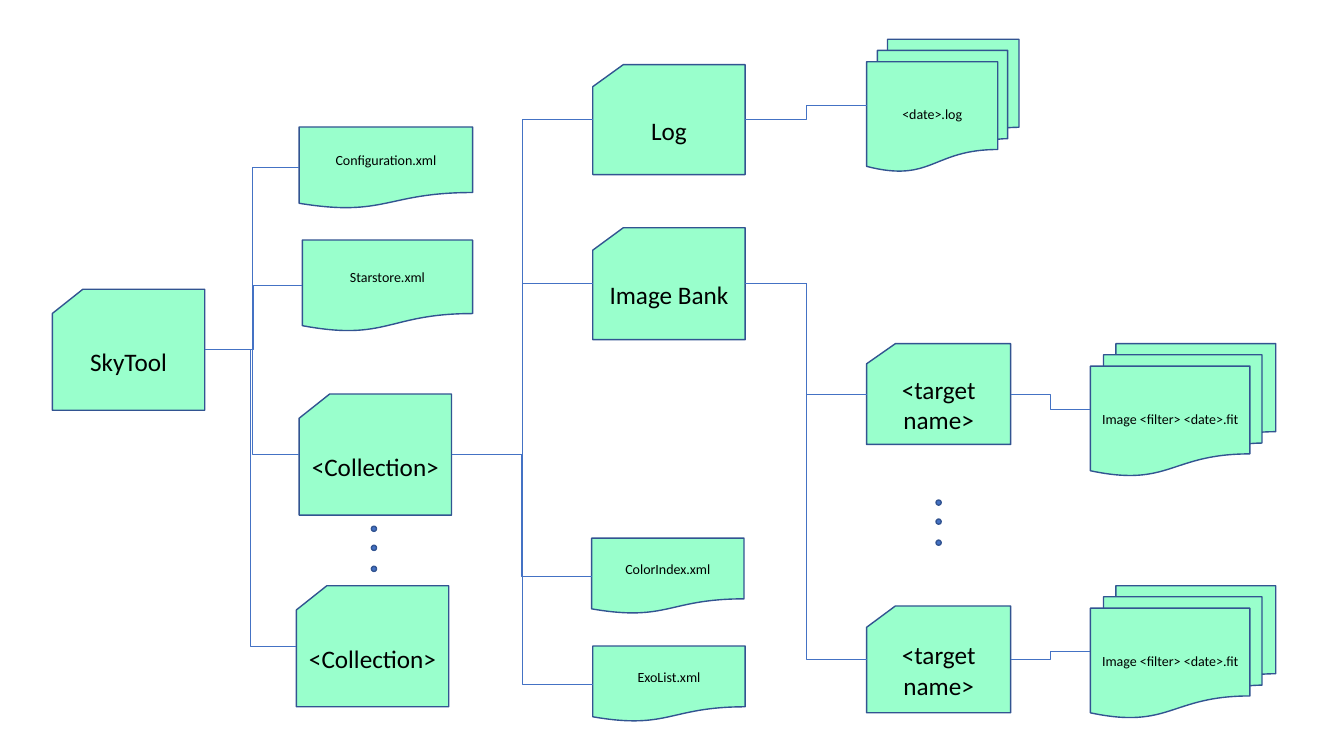
from lxml.etree import SubElement
from pptx import Presentation
from pptx.dml.color import RGBColor as RGB
from pptx.enum.shapes import MSO_CONNECTOR as Link, MSO_SHAPE as Shape
from pptx.enum.text import MSO_ANCHOR as Anchor, PP_ALIGN as Align
from pptx.oxml.ns import qn
from pptx.util import Cm, Pt

COLORS = {"mint": "99FFCC", "edge": "325491", "blue": "4472C4", "text": "000000"}
FONT = "Calibri"
KINDS = {
    "card": (Shape.FLOWCHART_CARD, 18),
    "file": (Shape.FLOWCHART_DOCUMENT, 10),
    "stack": (Shape.FLOWCHART_MULTIDOCUMENT, 10),
}
NODES = {
    "root": ("card", "SkyTool", 1.32, 7.29, 3.84, 3.05),
    "config": ("file", "Configuration.xml", 7.54, 3.2, 4.37, 2.06),
    "stars": ("file", "Starstore.xml", 7.62, 6.05, 4.29, 2.31),
    "first": ("card", "<Collection>", 7.54, 9.93, 3.84, 3.05),
    "last": ("card", "<Collection>", 7.47, 14.76, 3.84, 3.05),
    "log": ("card", "Log", 14.94, 1.63, 3.84, 2.77),
    "bank": ("card", "Image Bank", 14.94, 5.74, 3.84, 2.82),
    "index": ("file", "ColorIndex.xml", 14.91, 13.56, 3.84, 1.91),
    "list": ("file", "ExoList.xml", 14.94, 16.28, 3.84, 1.91),
    "dates": ("stack", "<date>.log", 21.84, 0.99, 3.84, 3.33),
    "target 1": ("card", "<target name>", 21.84, 8.66, 3.63, 2.54),
    "target 2": ("card", "<target name>", 21.84, 15.27, 3.63, 2.69),
    "image 1": ("stack", "Image <filter> <date>.fit", 27.48, 8.66, 4.67, 3.33),
    "image 2": ("stack", "Image <filter> <date>.fit", 27.48, 14.76, 4.67, 3.33),
}
TREE = {
    "root": ["config", "stars", "first", "last"],
    "first": ["log", "bank", "index", "list"],
    "log": ["dates"],
    "bank": ["target 1", "target 2"],
    "target 1": ["image 1"],
    "target 2": ["image 2"],
}
DOTS = [(9.36, 13.26), (23.59, 12.6)]
STEPS = [0, 0.48, 1.01]
DOT = 0.13


def add_shape(slide, kind, box, fill):
    shape = slide.shapes.add_shape(kind, *map(Cm, box))
    shape.shadow.inherit = False
    shape.fill.solid()
    shape.fill.fore_color.rgb = RGB.from_string(COLORS[fill])
    shape.line.color.rgb = RGB.from_string(COLORS["edge"])
    shape.line.width = Pt(1)
    return shape


def add_node(slide, kind, text, *box):
    form, size = KINDS[kind]
    node = add_shape(slide, form, box, "mint")
    frame = node.text_frame
    frame.text = text
    frame.word_wrap = True
    frame.vertical_anchor = Anchor.MIDDLE
    line = frame.paragraphs[0]
    line.alignment = Align.CENTER
    font = line.runs[0].font
    font.name, font.size = FONT, Pt(size)
    font.color.rgb = RGB.from_string(COLORS["text"])
    return node


def add_link(slide, start, end):
    link = slide.shapes.add_connector(Link.ELBOW, 0, 0, 0, 0)
    link.begin_connect(start, 3)
    link.end_connect(end, 1)
    link.line.color.rgb = RGB.from_string(COLORS["blue"])
    link.line.width = Pt(0.5)
    SubElement(link._element.spPr, qn("a:effectLst"))


def main():
    """Draw the folder tree and save it."""
    deck = Presentation()
    deck.slide_width, deck.slide_height = Cm(33.87), Cm(19.05)
    slide = deck.slides.add_slide(deck.slide_layouts[6])
    nodes = {name: add_node(slide, *node) for name, node in NODES.items()}
    for start, ends in TREE.items():
        for end in ends:
            add_link(slide, nodes[start], nodes[end])
    for left, top in DOTS:
        for step in STEPS:
            add_shape(slide, Shape.OVAL, (left, top + step, DOT, DOT), "blue")
    deck.save("out.pptx")


if __name__ == "__main__":
    main()
